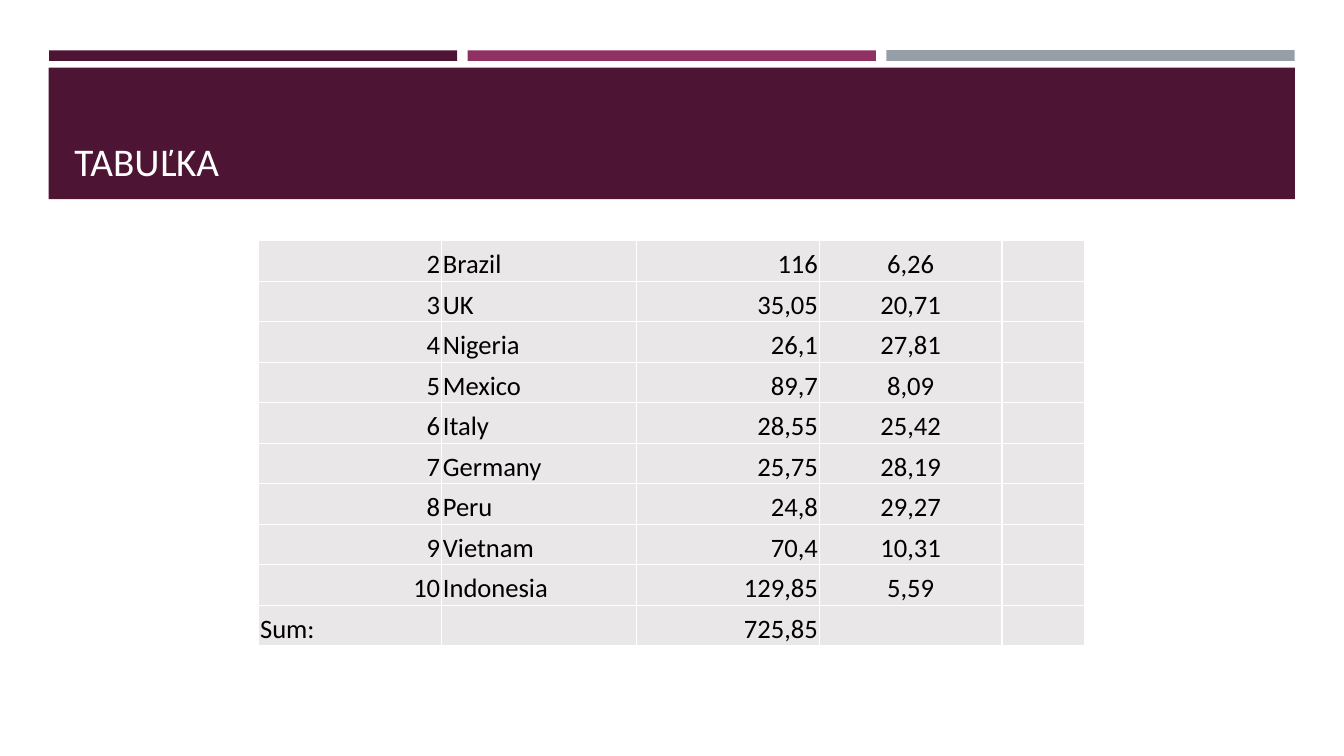
from lxml.etree import SubElement
from pptx import Presentation
from pptx.dml.color import RGBColor
from pptx.enum.shapes import MSO_SHAPE as Preset
from pptx.enum.text import MSO_ANCHOR as Anchor, PP_ALIGN as Align
from pptx.oxml.ns import qn
from pptx.util import Pt

COLORS = {
    "plum": "4D1434", "berry": "903163", "gray": "969FA7",
    "cell": "E9E7E8", "title": "FFFEFF", "border": "FFFFFF", "text": "000000",
}


def style_span(span, size, color):
    span.font.name = "Calibri"
    span.font.size = Pt(size)
    span.font.color.rgb = RGBColor.from_string(COLORS[color])


def add_border(cell, side):
    line = SubElement(cell._tc.get_or_add_tcPr(), qn(f"a:{side}"), w=str(Pt(1)))
    fill = SubElement(line, qn("a:solidFill"))
    SubElement(fill, qn("a:srgbClr"), val=COLORS["border"])


deck = Presentation()
deck.slide_width, deck.slide_height = Pt(960), Pt(540)
page = deck.slides.add_slide(deck.slide_layouts[5])

bars = [
    (35, 36, 291.6, 7.5, "plum"),
    (633.2, 35.8, 291.6, 7.8, "gray"),
    (334, 36, 291.6, 7.5, "berry"),
    (34.8, 48.4, 890.2, 93.8, "plum"),
]
for left, top, width, height, color in bars:
    bar = page.shapes.add_shape(Preset.RECTANGLE, Pt(left), Pt(top), Pt(width), Pt(height))
    bar.shadow.inherit = False
    bar.fill.solid()
    bar.fill.fore_color.rgb = RGBColor.from_string(COLORS[color])
    bar.line.fill.background()

title = page.shapes.title
title.element.getparent().append(title.element)
title.left, title.top, title.width, title.height = Pt(46), Pt(55.5), Pt(868), Pt(80)
title.text_frame.text = "TABUĽKA"
title.text_frame.vertical_anchor = Anchor.BOTTOM
heading = title.text_frame.paragraphs[0]
heading.alignment = Align.LEFT
style_span(heading.runs[0], 28, "title")

rows = [
    ("2", "Brazil", "116", "6,26", ""),
    ("3", "UK", "35,05", "20,71", ""),
    ("4", "Nigeria", "26,1", "27,81", ""),
    ("5", "Mexico", "89,7", "8,09", ""),
    ("6", "Italy", "28,55", "25,42", ""),
    ("7", "Germany", "25,75", "28,19", ""),
    ("8", "Peru", "24,8", "29,27", ""),
    ("9", "Vietnam", "70,4", "10,31", ""),
    ("10", "Indonesia", "129,85", "5,59", ""),
    ("Sum:", "", "725,85", "", ""),
]
widths = [130.6, 139.2, 130.6, 130.6, 59]
aligns = [Align.RIGHT, Align.LEFT, Align.RIGHT, Align.CENTER, Align.LEFT]
row_height = 28.95

frame = page.shapes.add_table(
    len(rows), len(widths), Pt(184.8), Pt(171.9), Pt(sum(widths)), Pt(row_height * len(rows)))
table = frame.table
table.first_row = table.horz_banding = False
for column, width in zip(table.columns, widths):
    column.width = Pt(width)
for row, values in zip(table.rows, rows):
    row.height = Pt(row_height)
    for cell, value, align in zip(row.cells, values, aligns):
        cell.margin_left = cell.margin_right = cell.margin_top = Pt(1)
        cell.margin_bottom = Pt(0.2)
        cell.vertical_anchor = Anchor.BOTTOM
        for side in ("lnL", "lnR", "lnT", "lnB"):
            add_border(cell, side)
        cell.fill.solid()
        cell.fill.fore_color.rgb = RGBColor.from_string(COLORS["cell"])
        if value:
            cell.text_frame.text = value
            para = cell.text_frame.paragraphs[0]
            para.alignment = Align.LEFT if value == "Sum:" else align
            style_span(para.runs[0], 19, "text")

deck.save("out.pptx")
